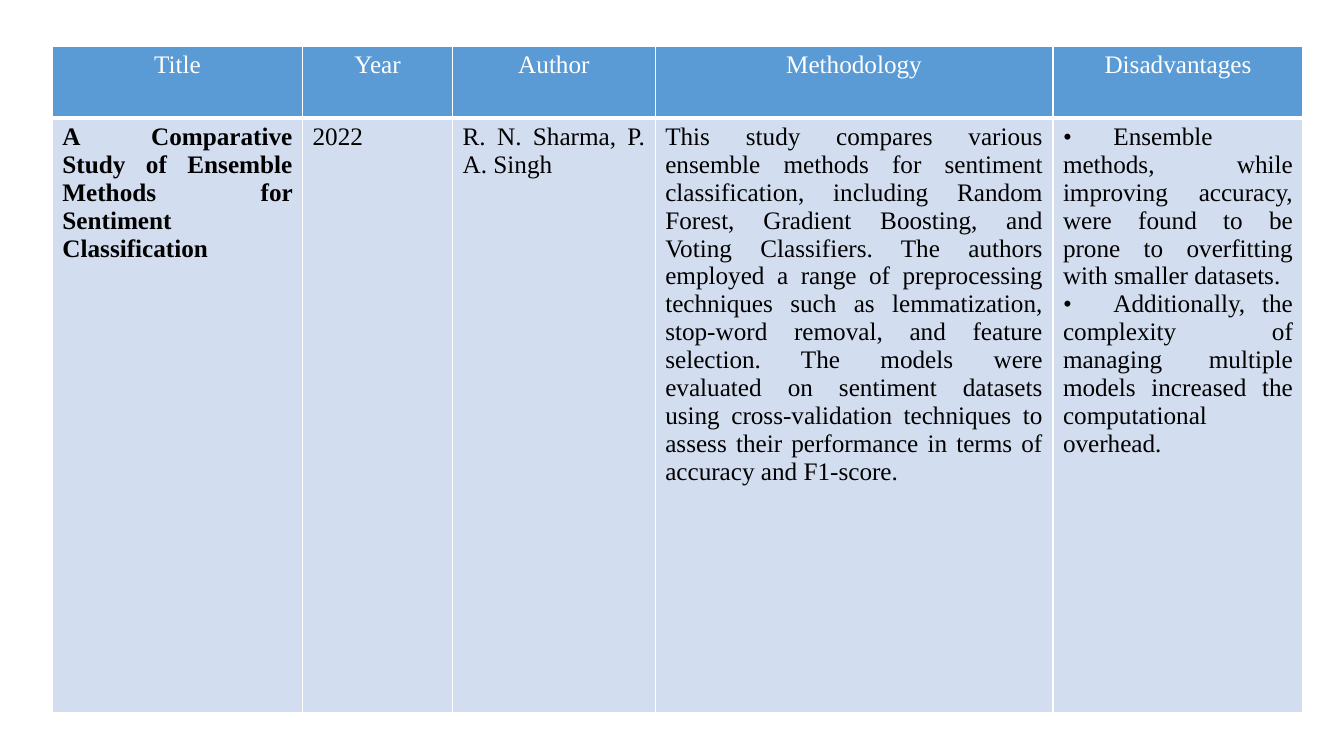
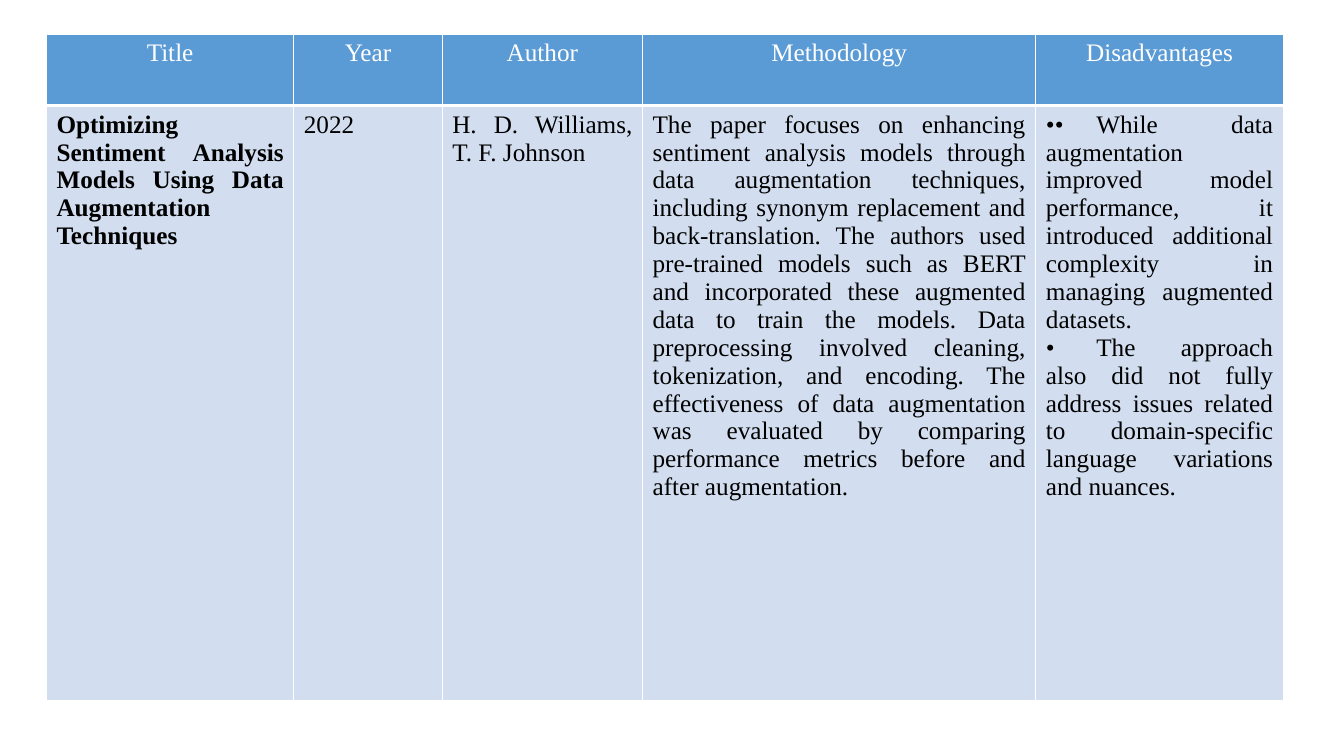
import pptx
import pptx.dml.color
import pptx.enum.text
import pptx.oxml
import pptx.oxml.ns
import pptx.util

Cm = pptx.util.Cm
Pt = pptx.util.Pt
ALIGN = pptx.enum.text.PP_ALIGN


def color(value):
    return pptx.dml.color.RGBColor.from_string(value)


class SurveyDeck:
    """Literature survey slides, each holding one table with a shared style."""

    FONT = "Times New Roman"
    SIZE = 18
    WHITE, BLACK, BLUE, PALE = "FFFFFF", "000000", "5B9BD5", "D2DEEF"
    HEADINGS = ("Title", "Year", "Author", "Methodology", "Disadvantages")
    COLUMN_SHARES = (0.2, 0.12, 0.162, 0.318, 0.2)
    ROW_HEIGHTS = (1.8, 14.99)

    def __init__(self):
        self.deck = pptx.Presentation()
        self.deck.slide_width = Cm(33.87)
        self.deck.slide_height = Cm(19.05)
        self.slide = None

    def add_slide(self):
        self.slide = self.deck.slides.add_slide(self.deck.slide_layouts[6])

    def add_borders(self, cell, bottom):
        properties = cell._tc.get_or_add_tcPr()
        for side, points in (("L", 1), ("R", 1), ("T", 1), ("B", bottom)):
            properties.append(pptx.oxml.parse_xml(
                f'<a:ln{side} {pptx.oxml.ns.nsdecls("a")} w="{int(Pt(points))}">'
                f'<a:solidFill><a:srgbClr val="{self.WHITE}"/></a:solidFill>'
                f'</a:ln{side}>'))

    def fill_cell(self, cell, paragraphs, heading=False, bold=False):
        self.add_borders(cell, bottom=3 if heading else 1)
        cell.fill.solid()
        cell.fill.fore_color.rgb = color(self.BLUE if heading else self.PALE)
        frame = cell.text_frame
        for index, wording in enumerate(paragraphs):
            paragraph = frame.add_paragraph() if index else frame.paragraphs[0]
            paragraph.alignment = ALIGN.CENTER if heading else ALIGN.JUSTIFY
            run = paragraph.add_run()
            run.text = wording
            run.font.name = self.FONT
            run.font.size = Pt(self.SIZE)
            run.font.bold = bold
            run.font.color.rgb = color(self.WHITE if heading else self.BLACK)

    def add_survey(self, left, top, width, paper):
        survey = self.slide.shapes.add_table(
            2, len(self.HEADINGS), Cm(left), Cm(top),
            Cm(width), Cm(sum(self.ROW_HEIGHTS))).table
        survey.horz_banding = False
        for row, height in zip(survey.rows, self.ROW_HEIGHTS):
            row.height = Cm(height)
        for index, share in enumerate(self.COLUMN_SHARES):
            survey.columns[index].width = Cm(width * share)
            self.fill_cell(survey.cell(0, index), [self.HEADINGS[index]],
                           heading=True)
            self.fill_cell(survey.cell(1, index), paper[index],
                           bold=index == 0)


ENSEMBLE_STUDY = (
    ["A Comparative Study of Ensemble Methods for Sentiment Classification"],
    ["2022"],
    ["R. N. Sharma, P. A. Singh"],
    ["This study compares various ensemble methods for sentiment "
     "classification, including Random Forest, Gradient Boosting, and Voting "
     "Classifiers. The authors employed a range of preprocessing techniques "
     "such as lemmatization, stop-word removal, and feature selection. The "
     "models were evaluated on sentiment datasets using cross-validation "
     "techniques to assess their performance in terms of accuracy and "
     "F1-score. "],
    ["•\tEnsemble methods, while improving accuracy, were found to be prone "
     "to overfitting with smaller datasets. ",
     "•\tAdditionally, the complexity of managing multiple models increased "
     "the computational overhead."],
)

AUGMENTATION_STUDY = (
    ["Optimizing Sentiment Analysis Models Using Data Augmentation "
     "Techniques"],
    ["2022"],
    ["H. D. Williams, T. F. Johnson"],
    ["The paper focuses on enhancing sentiment analysis models through data "
     "augmentation techniques, including synonym replacement and "
     "back-translation. The authors used pre-trained models such as BERT and "
     "incorporated these augmented data to train the models. Data "
     "preprocessing involved cleaning, tokenization, and encoding. The "
     "effectiveness of data augmentation was evaluated by comparing "
     "performance metrics before and after augmentation. "],
    ["••\tWhile data augmentation improved model performance, it introduced "
     "additional complexity in managing augmented datasets. ",
     "•\tThe approach also did not fully address issues related to "
     "domain-specific language variations and nuances."],
)


def main():
    survey_deck = SurveyDeck()
    for left, top, width, paper in (
            (1.32, 1.17, 31.52, ENSEMBLE_STUDY),
            (1.17, 0.86, 31.17, AUGMENTATION_STUDY)):
        survey_deck.add_slide()
        survey_deck.add_survey(left, top, width, paper)
    survey_deck.deck.save("out.pptx")


if __name__ == "__main__":
    main()
